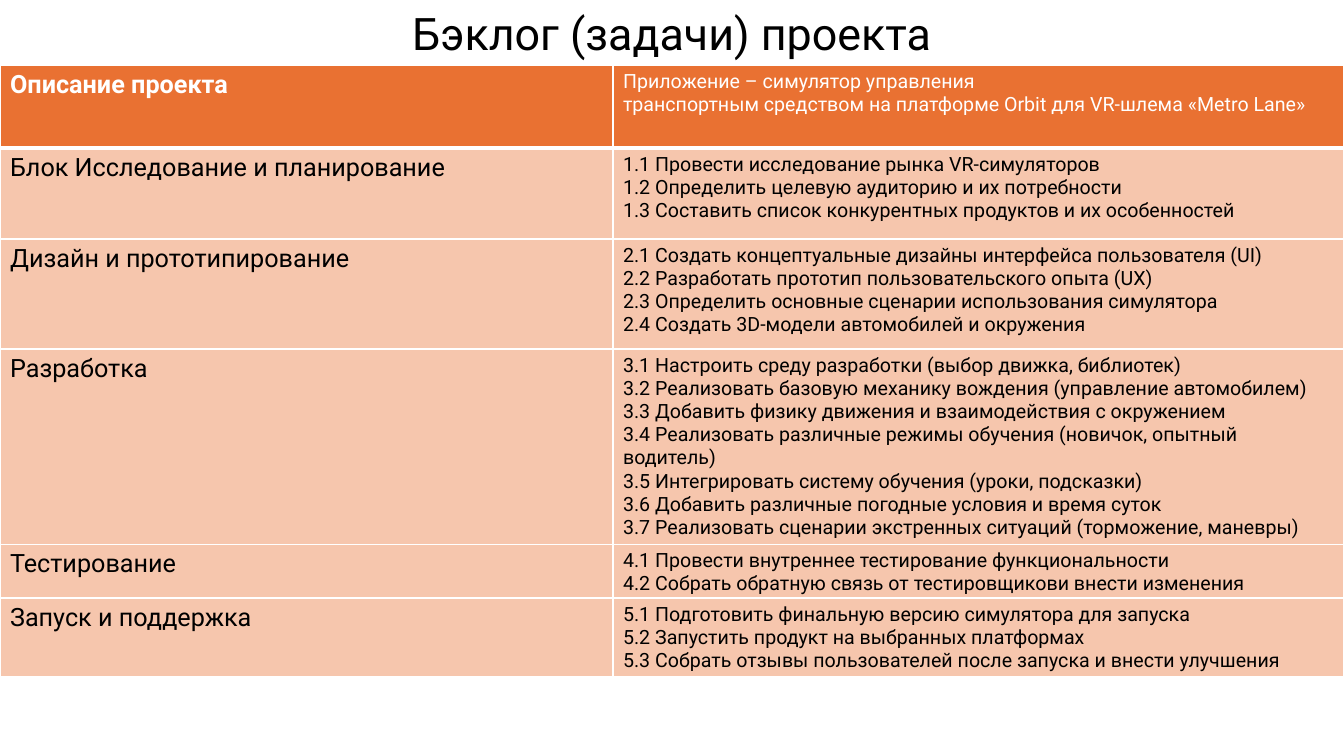
from copy import deepcopy

from lxml import etree
from pptx import Presentation
from pptx.dml.color import RGBColor
from pptx.enum.text import MSO_ANCHOR, PP_ALIGN
from pptx.oxml.ns import qn

PX = 12192000 / 1344
CENTER, BOTTOM = PP_ALIGN.CENTER, MSO_ANCHOR.BOTTOM
TITLE_ONLY = 5
FONT = "Roboto"
C = {"header": "E97132", "body": "F6C6AD", "white": "FFFFFF", "black": "000000"}

COLS = [613, 731]
BACKLOG = [
    (83, "Описание проекта",
     ["Приложение – симулятор\u00a0управления\u00a0\nтранспортным средством на платформе\u00a0Orbit\u00a0для\u00a0VR-шлема\u00a0«Metro\u00a0Lane»"]),
    (91, "Блок Исследование и планирование",
     ["1.1 Провести исследование рынка VR-симуляторов",
      "1.2 Определить целевую аудиторию и их потребности",
      "1.3 Составить список конкурентных продуктов и их особенностей"]),
    (110, "Дизайн и\u00a0прототипирование",
     ["2.1 Создать концептуальные дизайны интерфейса пользователя (UI)",
      "2.2 Разработать прототип пользовательского опыта (UX)",
      "2.3 Определить основные сценарии использования симулятора",
      "2.4 Создать 3D-модели автомобилей и окружения"]),
    (195, "Разработка",
     ["3.1 Настроить среду разработки (выбор движка, библиотек)",
      "3.2 Реализовать базовую механику вождения (управление автомобилем)",
      "3.3 Добавить физику движения и взаимодействия с окружением",
      "3.4 Реализовать различные режимы обучения (новичок, опытный водитель)",
      "3.5 Интегрировать систему обучения (уроки, подсказки)",
      "3.6 Добавить различные погодные условия и время суток",
      "3.7 Реализовать сценарии экстренных ситуаций (торможение, маневры)"]),
    (54, "Тестирование",
     ["4.1 Провести внутреннее тестирование функциональности",
      "4.2 Собрать обратную связь от\u00a0тестировщикови внести изменения"]),
]
LAUNCH = [
    (78, "Запуск и поддержка",
     ["5.1 Подготовить финальную версию симулятора для запуска",
      "5.2 Запустить продукт на выбранных платформах",
      "5.3 Собрать отзывы пользователей после запуска и внести улучшения"]),
]


def px(n):
    return round(n * PX)


def write(tf, lines, size, color="black", bold=False, align=None, spacing=None):
    for i, line in enumerate(lines):
        p = tf.paragraphs[0] if i == 0 else tf.add_paragraph()
        p.text = line
        p.alignment = align
        p.line_spacing = spacing
        for r in p.runs:
            r.font.name = FONT
            r.font.size = size * 12700
            r.font.bold = bold
            r.font.color.rgb = RGBColor.from_string(C[color])
        # Line breaks take the size of the text around them
        for br in p._p.findall(qn("a:br")):
            br.append(deepcopy(p.runs[0]._r.rPr))


prs = Presentation()
prs.slide_width, prs.slide_height = px(1344), px(756)
s = prs.slides.add_slide(prs.slide_layouts[TITLE_ONLY])

# Title
title = s.shapes.title
title.left, title.top, title.width, title.height = px(168), px(-8), px(1008), px(73)
tf = title.text_frame
tf.word_wrap = True
tf.vertical_anchor = BOTTOM
write(tf, ["Бэклог (задачи) проекта"], 32, align=CENTER, spacing=0.9)

# Backlog table, then the launch table right below it
top = 65
for rows, has_header in ((BACKLOG, True), (LAUNCH, False)):
    height = sum(row[0] for row in rows)
    table = s.shapes.add_table(len(rows), 2, 0, px(top), px(1344), px(height)).table
    top += height
    table.first_row = has_header
    table.horz_banding = False
    for col, width in zip(table.columns, COLS):
        col.width = px(width)
    for i, (row_height, block, tasks) in enumerate(rows):
        table.rows[i].height = px(row_height)
        header = has_header and i == 0
        color = "white" if header else "black"
        left, right = table.cell(i, 0), table.cell(i, 1)
        write(left.text_frame, [block], 18, color, bold=header)
        write(right.text_frame, tasks, 14, color)

        # White grid with a thick rule under the header
        widths = {"a:lnL": 1, "a:lnR": 1,
                  "a:lnT": 3 if has_header and i == 1 else 1,
                  "a:lnB": 3 if header or not has_header else 1}
        for cell in (left, right):
            tc_pr = cell._tc.get_or_add_tcPr()
            for tag, points in widths.items():
                ln = etree.SubElement(tc_pr, qn(tag), w=str(points * 12700))
                fill = etree.SubElement(ln, qn("a:solidFill"))
                etree.SubElement(fill, qn("a:srgbClr"), val=C["white"])
            cell.fill.solid()
            cell.fill.fore_color.rgb = RGBColor.from_string(C["header" if header else "body"])

prs.save("out.pptx")
